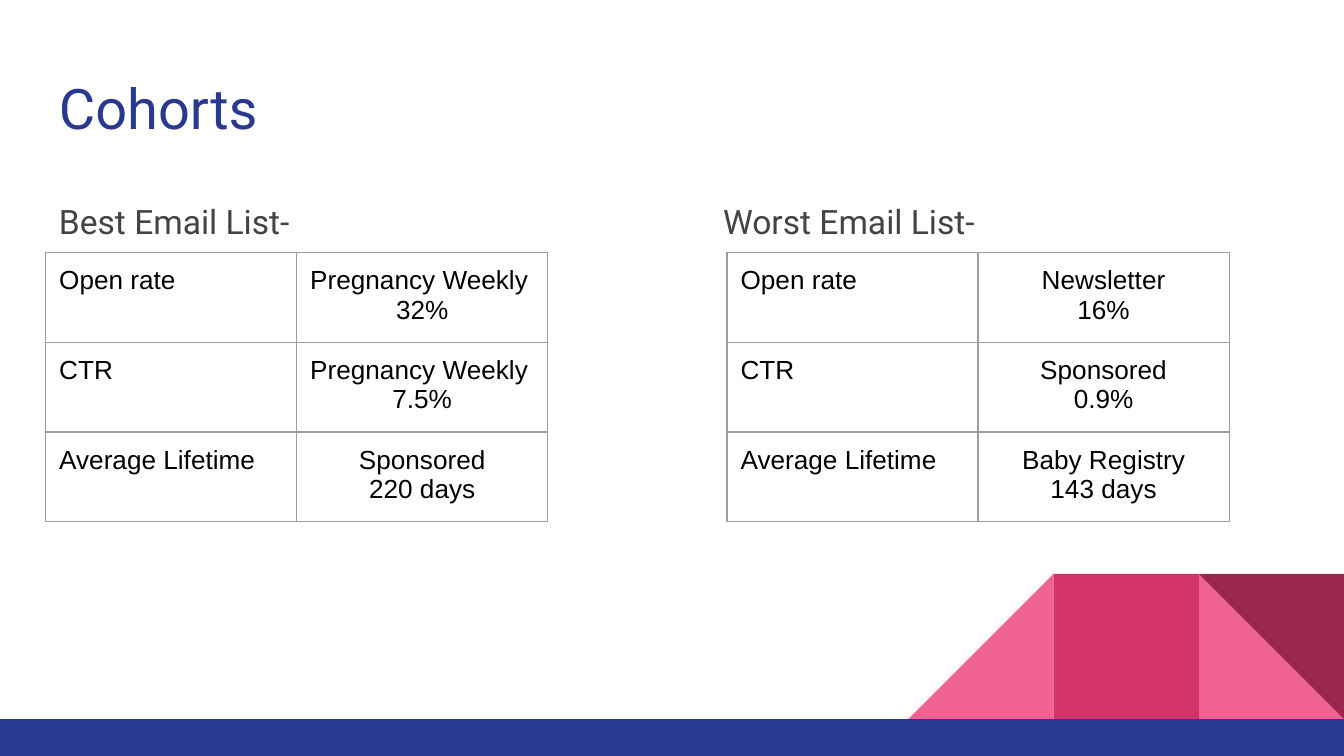
"""Build the Cohorts slide with its two email list tables."""
from lxml.etree import SubElement
from pptx import Presentation
from pptx.dml.color import RGBColor
from pptx.enum.shapes import MSO_SHAPE as Shape
from pptx.enum.text import PP_ALIGN as Align
from pptx.oxml.ns import qn
from pptx.util import Pt

BLUE = RGBColor(0x2A, 0x39, 0x90)
PINK = RGBColor(0xF0, 0x62, 0x92)
ROSE = RGBColor(0xD2, 0x33, 0x69)
WINE = RGBColor(0x9C, 0x25, 0x4D)
DARK = RGBColor(0x43, 0x43, 0x43)
BLACK = RGBColor(0, 0, 0)
GRAY = RGBColor(0x9E, 0x9E, 0x9E)

WIDTH, HEIGHT = 720, 405
SIDE, FLOOR = 77.8, 385.2
PAD = 7.2
LEFT, TOP = 24.5, 135.3
COL, ROW = 134.5, 45.8
LABELS = ("Open rate", "CTR", "Average Lifetime")
BEST = (
    ("Pregnancy Weekly", "32%", Align.LEFT),
    ("Pregnancy Weekly", "7.5%", Align.LEFT),
    ("Sponsored", "220 days", Align.CENTER),
)
WORST = (
    ("Newsletter", "16%", Align.CENTER),
    ("Sponsored", "0.9%", Align.CENTER),
    ("Baby Registry", "143 days", Align.CENTER),
)


class Board:
    def __init__(self, slide, font="Roboto", body="Arial", size=14):
        self.slide, self.font, self.body, self.size = slide, font, body, size

    def style(self, para, font, size, color):
        for run in para.runs:
            run.font.name = font
            run.font.size = Pt(size)
            run.font.color.rgb = color

    def block(self, kind, x, y, w, h, color, turn=0):
        shape = self.slide.shapes.add_shape(kind, Pt(x), Pt(y), Pt(w), Pt(h))
        shape.shadow.inherit = False
        shape.fill.solid()
        shape.fill.fore_color.rgb = color
        shape.line.fill.background()
        shape.rotation = turn

    def text(self, words, x, y, w, h, size, color, lead=1.0):
        frame = self.slide.shapes.add_textbox(Pt(x), Pt(y), Pt(w), Pt(h)).text_frame
        frame.word_wrap = True
        frame.margin_left = frame.margin_right = Pt(PAD)
        frame.margin_top = frame.margin_bottom = Pt(PAD)
        frame.text = words
        para = frame.paragraphs[0]
        para.line_spacing = lead
        self.style(para, self.font, size, color)

    def border(self, cell):
        props = cell._tc.get_or_add_tcPr()
        for place, side in enumerate(("a:lnL", "a:lnR", "a:lnT", "a:lnB")):
            line = SubElement(props, qn(side), w=str(Pt(0.75)))
            fill = SubElement(line, qn("a:solidFill"))
            SubElement(fill, qn("a:srgbClr"), val=str(GRAY))
            props.insert(place, line)

    def cell(self, cell, lines, aligns):
        cell.fill.background()
        cell.margin_left = cell.margin_right = Pt(PAD)
        cell.margin_top = cell.margin_bottom = Pt(PAD)
        cell.text_frame.text = "\n".join(lines)
        for para, align in zip(cell.text_frame.paragraphs, aligns):
            para.alignment = align
            self.style(para, self.body, self.size, BLACK)
        self.border(cell)

    def table(self, x, y, rows):
        count = len(rows)
        frame = self.slide.shapes.add_table(
            count, 2, Pt(x), Pt(y), Pt(2 * COL), Pt(count * ROW))
        table = frame.table
        table.first_row = table.horz_banding = False
        for col in table.columns:
            col.width = Pt(COL)
        for num, (label, (name, value, align)) in enumerate(zip(LABELS, rows)):
            table.rows[num].height = Pt(ROW)
            self.cell(table.cell(num, 0), [label], [Align.LEFT])
            self.cell(table.cell(num, 1), [name, value], [align, Align.CENTER])


def main():
    deck = Presentation()
    deck.slide_width, deck.slide_height = Pt(WIDTH), Pt(HEIGHT)
    board = Board(deck.slides.add_slide(deck.slide_layouts[6]))

    for kind, step, color, turn in (
        (Shape.RIGHT_TRIANGLE, 1, PINK, 0),
        (Shape.RIGHT_TRIANGLE, 3, PINK, 270),
        (Shape.RECTANGLE, 2, ROSE, 0),
        (Shape.RIGHT_TRIANGLE, 1, WINE, 180),
    ):
        board.block(kind, WIDTH - step * SIDE, FLOOR - SIDE, SIDE, SIDE, color, turn)
    board.block(Shape.RECTANGLE, 0, FLOOR, WIDTH, HEIGHT - FLOOR, BLUE)

    board.text("Cohorts", LEFT, 32.4, 671, 47.5, 30, BLUE)
    board.text("Best Email List-", LEFT, 97.2, 671, 262.8, 18, DARK, 1.15)
    board.text("Worst Email List-", 380.3, 97.2, 314.6, 262.8, 18, DARK, 1.15)
    board.table(LEFT, TOP, BEST)
    board.table(389.5, TOP, WORST)
    deck.save("out.pptx")


if __name__ == "__main__":
    main()
